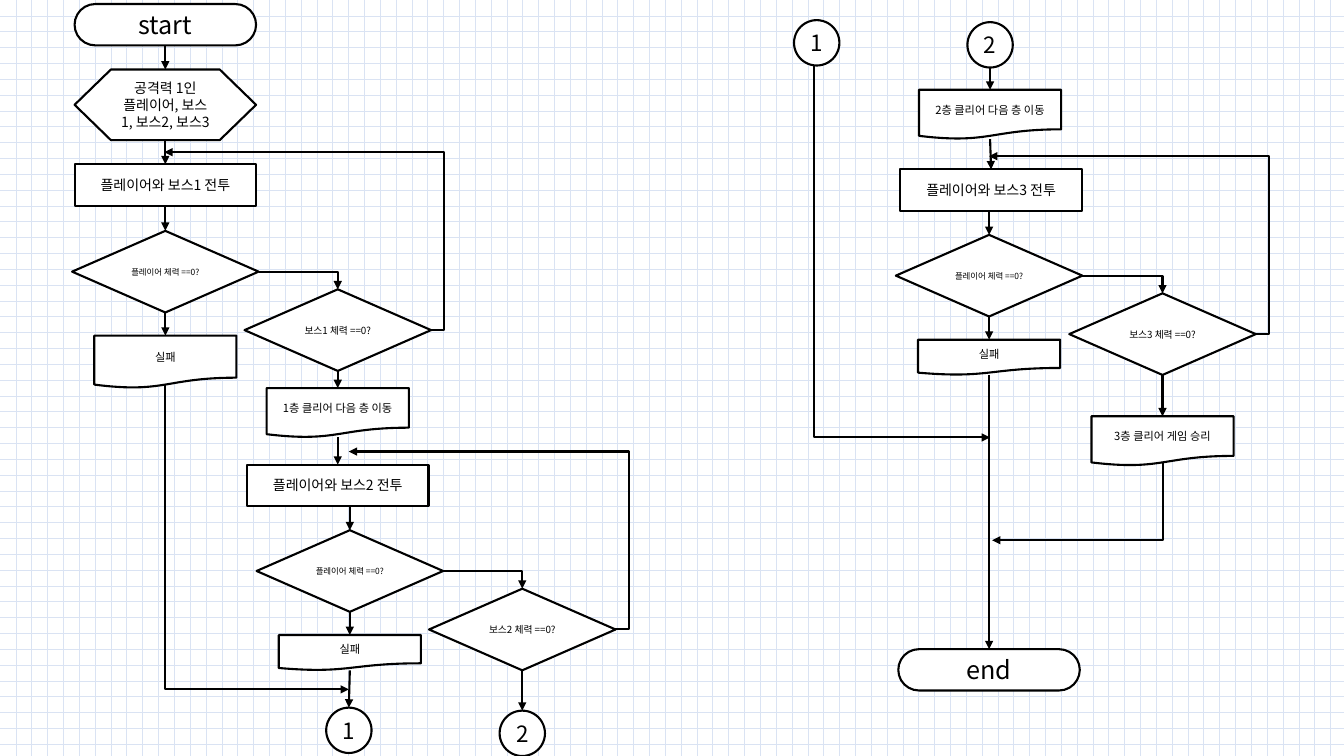
from lxml import etree
from pptx import Presentation
from pptx.dml.color import RGBColor
from pptx.enum.dml import MSO_PATTERN
from pptx.enum.shapes import MSO_CONNECTOR, MSO_SHAPE
from pptx.enum.text import MSO_ANCHOR, PP_ALIGN
from pptx.oxml.ns import qn
from pptx.util import Inches, Pt

FONT = "Noto Sans CJK KR"
COLORS = {"ink": "000000", "paper": "FFFFFF", "grid": "DAE3F3"}

# kind: (preset, width, height, text size)
KINDS = {
    "terminal": (MSO_SHAPE.ROUNDED_RECTANGLE, 1.8, 0.41, 18),
    "setup": (MSO_SHAPE.FLOWCHART_PREPARATION, 1.8, 0.7, 10),
    "fight": (MSO_SHAPE.FLOWCHART_PROCESS, 1.8, 0.41, 10),
    "player": (MSO_SHAPE.FLOWCHART_DECISION, 1.85, 0.81, 6),
    "boss": (MSO_SHAPE.FLOWCHART_DECISION, 1.85, 0.81, 7),
    "clear": (MSO_SHAPE.FLOWCHART_DOCUMENT, 1.41, 0.49, 8),
    "fail": (MSO_SHAPE.FLOWCHART_DOCUMENT, 1.41, 0.35, 8),
    "tall_fail": (MSO_SHAPE.FLOWCHART_DOCUMENT, 1.41, 0.52, 8),
    "jump": (MSO_SHAPE.FLOWCHART_CONNECTOR, 0.45, 0.45, 16),
}

# name: (kind, text, centre x, top)
NODES = {
    "start": ("terminal", "start", 1.64, 0.04),
    "setup": ("setup", "공격력 1인 플레이어, 보스1, 보스2, 보스3", 1.64, 0.69),
    "fight1": ("fight", "플레이어와 보스1 전투", 1.64, 1.63),
    "player1": ("player", "플레이어 체력 ==0?", 1.64, 2.29),
    "boss1": ("boss", "보스1 체력 ==0?", 3.35, 2.87),
    "fail1": ("tall_fail", "실패", 1.64, 3.33),
    "clear1": ("clear", "1층 클리어 다음 층 이동", 3.35, 3.85),
    "fight2": ("fight", "플레이어와 보스2 전투", 3.35, 4.61),
    "player2": ("player", "플레이어 체력 ==0?", 3.47, 5.26),
    "boss2": ("boss", "보스2 체력 ==0?", 5.18, 5.84),
    "fail2": ("fail", "실패", 3.47, 6.3),
    "to1": ("jump", "1", 3.46, 7.02),
    "to2": ("jump", "2", 5.18, 7.05),
    "from1": ("jump", "1", 8.1, 0.2),
    "from2": ("jump", "2", 9.82, 0.22),
    "clear2": ("clear", "2층 클리어 다음 층 이동", 9.82, 0.89),
    "fight3": ("fight", "플레이어와 보스3 전투", 9.83, 1.68),
    "player3": ("player", "플레이어 체력 ==0?", 9.81, 2.33),
    "boss3": ("boss", "보스3 체력 ==0?", 11.53, 2.91),
    "fail3": ("fail", "실패", 9.81, 3.37),
    "win": ("clear", "3층 클리어 게임 승리", 11.53, 4.13),
    "end": ("terminal", "end", 9.81, 6.44),
}

# Straight arrows run down each chain
CHAINS = [
    ("start", "setup", "fight1", "player1", "fail1"),
    ("boss1", "clear1", "fight2", "player2", "fail2", "to1"),
    ("boss2", "to2"),
    ("from2", "clear2", "fight3", "player3", "fail3", "end"),
    ("boss3", "win"),
]
BRANCHES = [("player1", "boss1"), ("player2", "boss2"), ("player3", "boss3")]
# boss decision, x and y where the loop comes back
LOOPS = [("boss1", 1.63, 1.51), ("boss2", 3.46, 4.48), ("boss3", 9.81, 1.55)]
# arrow tip, then the x and y where the line leaves its source
MERGES = [((3.46, 6.84), (1.64, 3.81)),
          ((9.82, 4.34), (8.07, 0.65)),
          ((9.84, 5.36), (11.53, 4.58))]


def rgb(name):
    return RGBColor.from_string(COLORS[name])


def bounds(name):
    kind, _, cx, top = NODES[name]
    _, w, h, _ = KINDS[kind]
    return cx, top, w, h


def right_of(name):
    cx, top, w, h = bounds(name)
    return cx + w / 2, top + h / 2


def add_node(s, name):
    kind, text, cx, top = NODES[name]
    preset, w, h, size = KINDS[kind]
    sp = s.shapes.add_shape(preset, Inches(cx - w / 2), Inches(top), Inches(w), Inches(h))
    sp.shadow.inherit = False
    if kind == "terminal":
        sp.adjustments[0] = 0.5
    sp.fill.solid()
    sp.fill.fore_color.rgb = rgb("paper")
    sp.line.color.rgb = rgb("ink")
    sp.line.width = Pt(1.5)
    tf = sp.text_frame
    tf.word_wrap = True
    tf.vertical_anchor = MSO_ANCHOR.MIDDLE
    p = tf.paragraphs[0]
    p.alignment = PP_ALIGN.CENTER
    r = p.add_run()
    r.text = text
    for key, value in {"name": FONT, "size": Pt(size)}.items():
        setattr(r.font, key, value)
    r.font.color.rgb = rgb("ink")
    etree.SubElement(r.font._element, qn("a:ea")).set("typeface", FONT)
    return sp


def add_arrow(s, begin, end, kind=MSO_CONNECTOR.STRAIGHT, arrow="tailEnd", corner=False, bend=None):
    """Elbows leave begin sideways; a corner turns once, a bend sets the turn."""
    c = s.shapes.add_connector(kind, *(Inches(v) for v in begin + end))
    c.line.color.rgb = rgb("ink")
    c.line.width = Pt(1.5)
    etree.SubElement(c.line._get_or_add_ln(), qn("a:" + arrow)).set("type", "triangle")
    etree.SubElement(c._element.spPr, qn("a:effectLst"))
    geom = c._element.spPr.find(qn("a:prstGeom"))
    if corner:
        geom.set("prst", "bentConnector2")
    if bend is not None:
        guide = etree.SubElement(geom.find(qn("a:avLst")), qn("a:gd"))
        guide.set("name", "adj1")
        guide.set("fmla", f"val {round(bend * 100000)}")
    return c


prs = Presentation()
prs.slide_width, prs.slide_height = Inches(13.33), Inches(7.5)
s = prs.slides.add_slide(prs.slide_layouts[6])

# Grid background
bg = s.background.fill
bg.patterned()
bg.pattern = MSO_PATTERN.DOTTED_GRID
bg.fore_color.rgb = rgb("grid")
bg.back_color.rgb = rgb("paper")

shapes = {name: add_node(s, name) for name in NODES}

# Downward arrows, joined where the centres line up
for chain in CHAINS:
    for src, dst in zip(chain, chain[1:]):
        src_x, src_top, _, src_h = bounds(src)
        dst_x, dst_top, _, _ = bounds(dst)
        c = add_arrow(s, (dst_x, src_top + src_h), (dst_x, dst_top))
        if abs(src_x - dst_x) < 0.015 and NODES[src][0] != "jump":
            c.begin_connect(shapes[src], 2)
        c.end_connect(shapes[dst], 0)

# Player survives: on to the boss check
for player, boss in BRANCHES:
    add_arrow(s, right_of(player), bounds(boss)[:2], MSO_CONNECTOR.ELBOW, corner=True)

# Boss survives: back to the fight
for boss, x, y in LOOPS:
    add_arrow(s, right_of(boss), (x, y), MSO_CONNECTOR.ELBOW, bend=-0.05)

# Side routes joining the main line
for tip, source in MERGES:
    add_arrow(s, tip, source, MSO_CONNECTOR.ELBOW, arrow="headEnd", corner=True)

prs.save("out.pptx")
